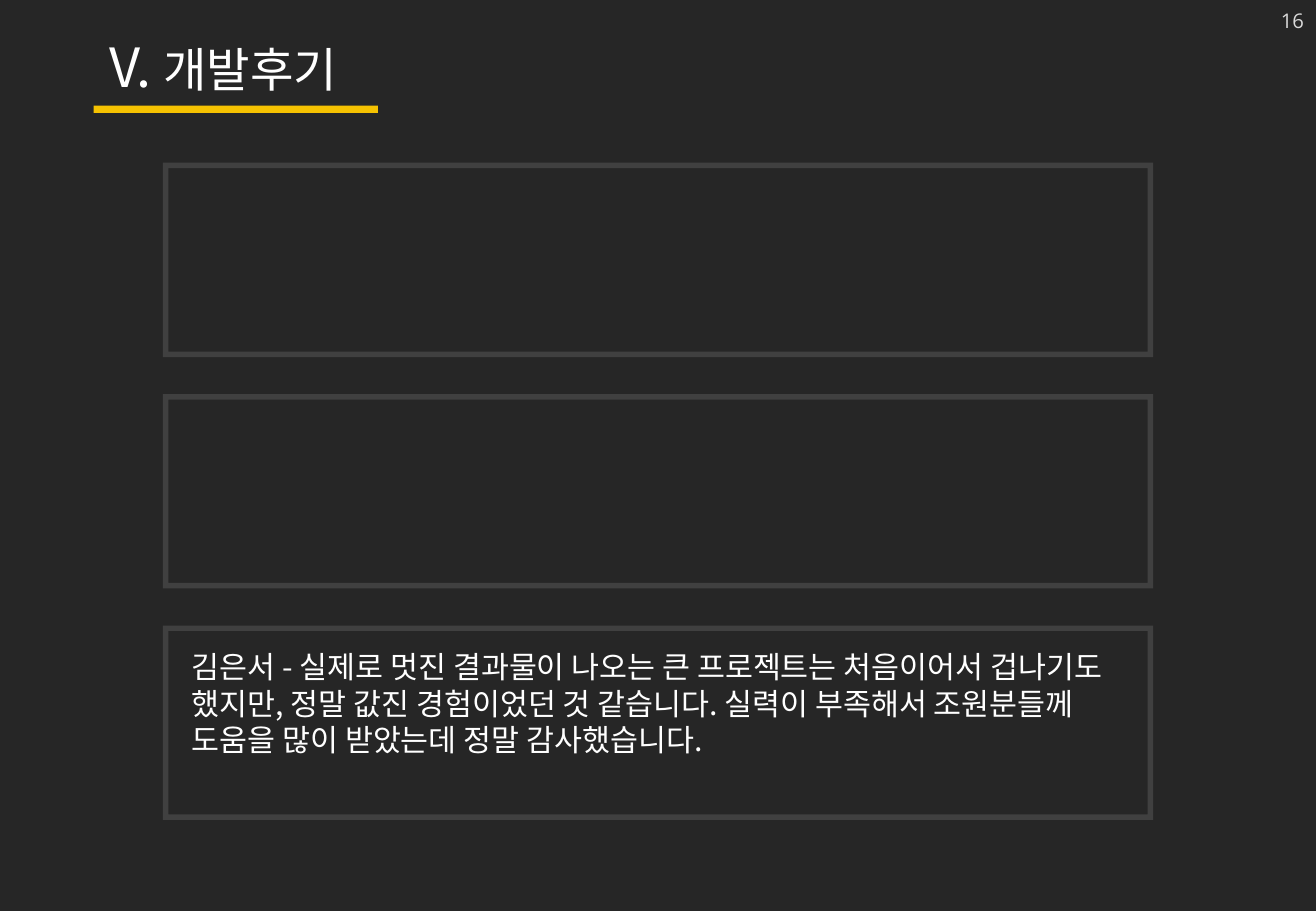
import pptx
import pptx.util
import pptx.dml.color
import pptx.enum.shapes
import pptx.enum.text
import pptx.oxml.ns
import lxml.etree

Inches = pptx.util.Inches
Shapes = pptx.enum.shapes.MSO_SHAPE
KOREAN_FONT = "Noto Sans CJK KR"
REVIEW = (
    "김은서 - 실제로 멋진 결과물이 나오는 큰 프로젝트는 처음이어서 겁나기도 했지만, "
    "정말 값진 경험이었던 것 같습니다. 실력이 부족해서 조원분들께 도움을 많이 받았는데 "
    "정말 감사했습니다."
)


def color(value):
    """Turn a hex string into a colour."""
    return pptx.dml.color.RGBColor.from_string(value)


def add_block(slide, preset, box, fill):
    """Add a filled preset shape without outline or shadow."""
    block = slide.shapes.add_shape(preset, *map(Inches, box))
    block.shadow.inherit = False
    block.fill.solid()
    block.fill.fore_color.rgb = color(fill)
    block.line.fill.background()
    return block


def add_text(slide, box, pieces, font_name, fill, wrap=True):
    """Add one paragraph made of (text, size) pieces and return its frame."""
    frame = slide.shapes.add_textbox(*map(Inches, box)).text_frame
    frame.word_wrap = wrap
    paragraph = frame.paragraphs[0]
    paragraph.font.name = font_name
    paragraph.font.color.rgb = color(fill)
    defaults = paragraph._p.pPr.find(pptx.oxml.ns.qn("a:defRPr"))
    east_asian = lxml.etree.SubElement(defaults, pptx.oxml.ns.qn("a:ea"))
    east_asian.set("typeface", font_name)
    if len(pieces) == 1:
        paragraph.font.size = pptx.util.Pt(pieces[0][1])
    for text, size in pieces:
        run = paragraph.add_run()
        run.text = text
        if len(pieces) > 1:
            run.font.size = pptx.util.Pt(size)
    return frame


def add_heading(slide, left, top):
    """Place the section title above its yellow underline."""
    add_text(slide, (left + 0.03, top, 2.2, 0.64),
             [("V. ", 32), ("개발후기", 28)], KOREAN_FONT, "FFFFFF", wrap=False)
    add_block(slide, Shapes.RECTANGLE, (left, top + 0.64, 2.34, 0.06), "F5C201")


def add_page_number(slide, left, top, width, height):
    """Place the page number at the right edge of its box."""
    number = add_text(slide, (left, top, width, height), [("16", 12)], "Open Sans", "D9D9D9")
    number.vertical_anchor = pptx.enum.text.MSO_ANCHOR.MIDDLE
    number.paragraphs[0].alignment = pptx.enum.text.PP_ALIGN.RIGHT


def add_review(slide, left, top, width, height, review):
    """Draw a review frame and, if there is one, the review inside it."""
    border = add_block(slide, Shapes.FRAME, (left, top, width, height), "404040")
    border.adjustments[0] = 0.028
    if review:
        add_text(slide, (left + 0.14, top + 0.14, width - 0.28, 1.01),
                 [(review, 18)], KOREAN_FONT, "FFFFFF")


def main():
    """Build the slide and save it."""
    deck = pptx.Presentation()
    deck.slide_width, deck.slide_height = Inches(10.83), Inches(7.5)
    slide = deck.slides.add_slide(deck.slide_layouts[6])
    slide.background.fill.solid()
    slide.background.fill.fore_color.rgb = color("262626")

    add_page_number(slide, 8.05, -0.03, 2.78, 0.4)
    add_heading(slide, 0.77, 0.23)
    for row, review in enumerate(("", "", REVIEW)):
        add_review(slide, 1.34, 1.34 + row * 1.905, 8.15, 1.6, review)
    deck.save("out.pptx")


if __name__ == "__main__":
    main()
